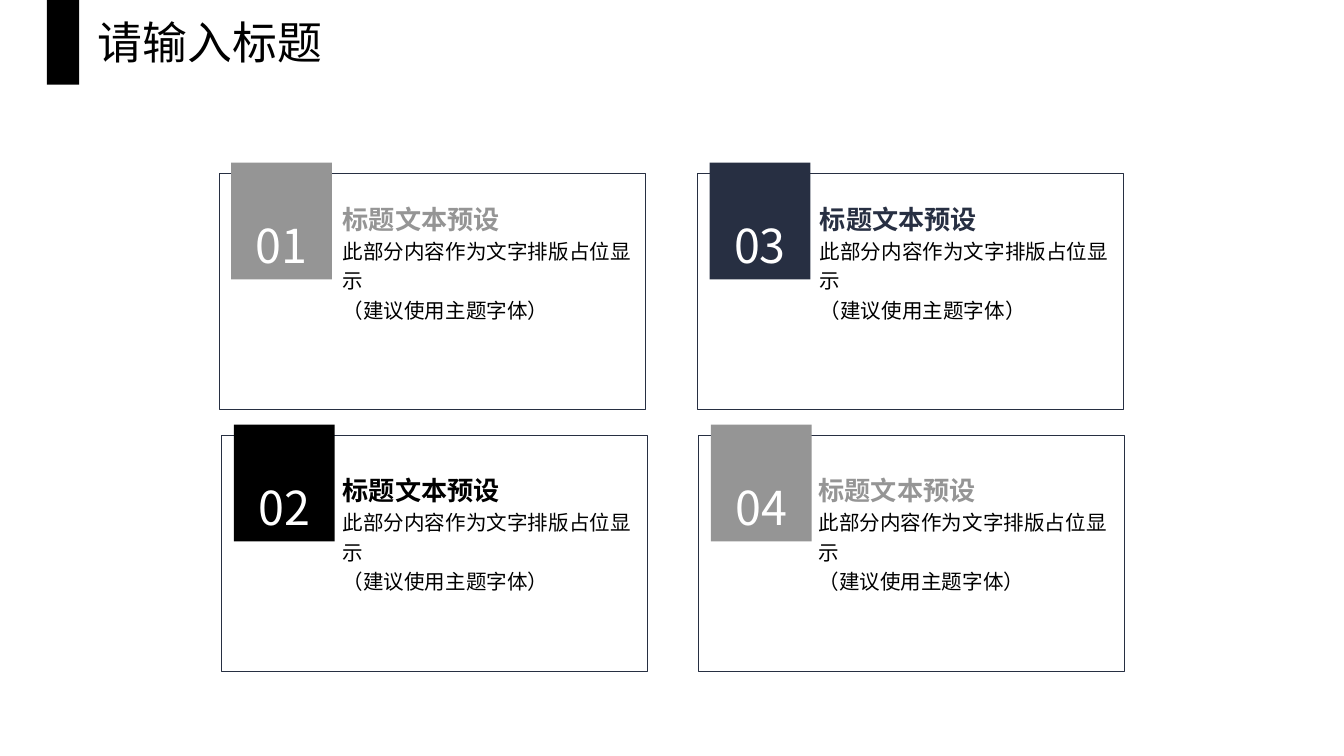
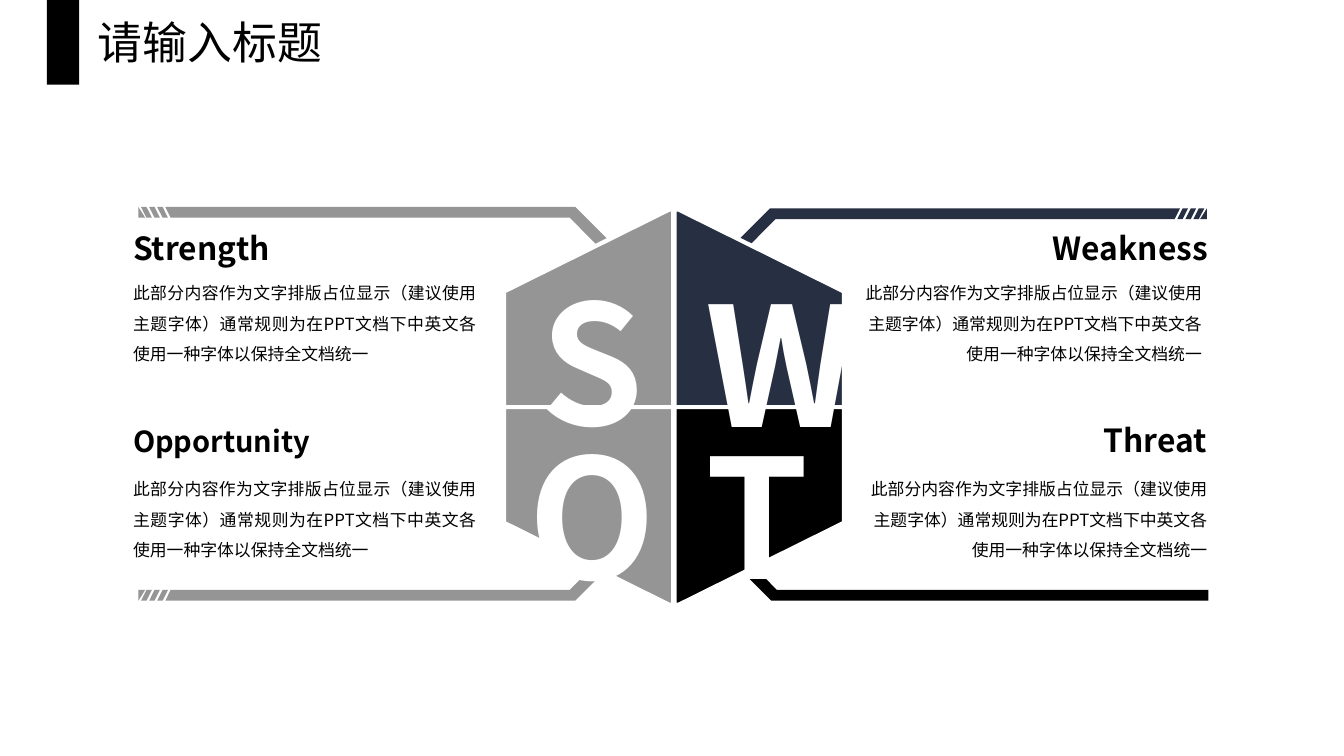
from collections import namedtuple
from copy import deepcopy

from lxml import etree
from pptx import Presentation
from pptx.dml.color import RGBColor
from pptx.enum.shapes import MSO_SHAPE
from pptx.enum.text import MSO_ANCHOR, MSO_AUTO_SIZE, PP_ALIGN
from pptx.oxml.ns import qn
from pptx.util import Pt

PX = 9144  # EMU per px, 100 px to the inch
SLIDE_WIDTH = 1000 * PX
SLIDE_HEIGHT = SLIDE_WIDTH * 9 // 16
FONT = "Noto Sans CJK SC"
GREY, NAVY, BLACK, WHITE = "959595", "272F42", "000000", "FFFFFF"
RECTANGLE = MSO_SHAPE.RECTANGLE
LEFT, CENTER, RIGHT, JUSTIFY = PP_ALIGN.LEFT, PP_ALIGN.CENTER, PP_ALIGN.RIGHT, PP_ALIGN.JUSTIFY
TOP, BOTTOM = MSO_ANCHOR.TOP, MSO_ANCHOR.BOTTOM
FIT_SHAPE = MSO_AUTO_SIZE.SHAPE_TO_FIT_TEXT

CARD_HEADING = "标题文本预设"
CARD_BODY = "此部分内容作为文字排版占位显示\n（建议使用主题字体）"
SWOT_BODY = ("此部分内容作为文字排版占位显示（建议使用主题字体）"
             "通常规则为在PPT文档下中英文各使用一种字体以保持全文档统一")

# number, colour, frame left and top, text left and top
CARDS = [
    ("01", GREY, 163, 129, 255, 151),
    ("03", NAVY, 519, 129, 610, 151),
    ("02", BLACK, 165, 324, 255, 353),
    ("04", GREY, 520, 324, 609, 353),
]

Quadrant = namedtuple("Quadrant", "letter word size color right lower arm "
                                  "heading_box body_box letter_box")
QUADRANTS = [
    Quadrant("S", "Strength", 17, GREY, False, False, (103, 154),
             (99, 170, 107, 25), (99, 203, 255, 94), (375, 188, 132, 129)),
    Quadrant("O", "Opportunity", 15.5, GREY, False, True, (103, 300),
             (99, 315, 147, 25), (99, 349, 255, 94), (375, 303, 132, 129)),
    Quadrant("W", "Weakness", 17, NAVY, True, False, (499, 155),
             (779, 170, 120, 25), (639, 203, 255, 94), (515, 190, 99, 129)),
    Quadrant("T", "Threat", 17, BLACK, True, True, (500, 300),
             (751, 313, 147, 25), (643, 349, 255, 94), (503, 303, 121, 129)),
]

# Outlines for the upper left quadrant; the others mirror them
ARM_SIZE = (399, 147)
ARM_BEND = [(325, 0), (399, 74), (399, 147), (391, 147), (391, 79), (321, 8)]
ARM_PLAIN = [[(0, 0), *ARM_BEND, (0, 8)]]
ARM_STRIPED = [[(20, 0), *ARM_BEND, (24, 8)],
               *[[(x, 0), (x + 4, 0), (x + 8, 8), (x + 4, 8)] for x in (14, 8, 2)],
               [(0, 0), (5, 8), (0, 8)]]
QUARTER_SIZE = (126, 147)
QUARTER = [[(126, 147), (0, 147), (0, 61), (123, 0), (126, 0)]]


def rgb(color):
    return RGBColor.from_string(color)


def emu(box):
    return [value * PX for value in box]


def paint(shape, fill=None, line=None, width=0.5):
    shape.shadow.inherit = False
    if fill:
        shape.fill.solid()
        shape.fill.fore_color.rgb = rgb(fill)
    else:
        shape.fill.background()
    if line:
        shape.line.color.rgb = rgb(line)
        shape.line.width = Pt(width)
    else:
        shape.line.fill.background()


def write(shape, text, size, color=BLACK, bold=False, align=LEFT, anchor=TOP,
          spacing=None, inset=True, grow=False):
    frame = shape.text_frame
    frame.word_wrap = True
    frame.vertical_anchor = anchor
    if not inset:
        frame.margin_left = frame.margin_top = frame.margin_right = frame.margin_bottom = 0
    if grow:
        frame.auto_size = FIT_SHAPE
    paragraph = frame.paragraphs[0]
    paragraph.text = text
    paragraph.alignment = align
    if spacing:
        paragraph.line_spacing = spacing
    for run in paragraph.runs:
        run.font.size = Pt(size)
        run.font.bold = bold
        run.font.color.rgb = rgb(color)
        run.font.name = FONT
        properties = run.font._element
        etree.SubElement(properties, qn("a:ea")).set("typeface", FONT)
    for line_break in paragraph._p.findall(qn("a:br")):
        line_break.append(deepcopy(properties))


def add_text(slide, box, text, size, **options):
    write(slide.shapes.add_textbox(*emu(box)), text, size, **options)


def add_rectangle(slide, box, **style):
    shape = slide.shapes.add_shape(RECTANGLE, *emu(box))
    paint(shape, **style)
    return shape


def add_outline(slide, origin, size, contours, right, lower, **style):
    """Draw closed contours in a box, mirrored for right or lower quadrants."""
    def place(point):
        x, y = point
        return (origin[0] + (size[0] - x if right else x),
                origin[1] + (size[1] - y if lower else y))

    builder = None
    for contour in contours:
        start, *others = map(place, contour)
        if builder is None:
            builder = slide.shapes.build_freeform(*start, scale=PX)
        else:
            builder.move_to(*start)
        builder.add_line_segments(others, close=True)
    paint(builder.convert_to_shape(), **style)


def add_title(slide):
    add_text(slide, (63, 6, 201, 50), "请输入标题", 24, align=JUSTIFY, grow=True)
    add_rectangle(slide, (35, 0, 24, 63), fill=BLACK)


def add_card(slide, number, color, left, top, text_left, text_top):
    add_rectangle(slide, (left, top, 317, 176), line=NAVY)
    badge = add_rectangle(slide, (left + 9, top - 8, 75, 87), fill=color)
    write(badge, number, 25, color=WHITE, align=CENTER, anchor=BOTTOM)
    add_text(slide, (text_left, text_top, 218, 22), CARD_HEADING, 14,
             color=color, bold=True, inset=False)
    add_text(slide, (text_left, text_top + 23, 218, 92), CARD_BODY, 11,
             spacing=1.2, inset=False)


def add_quadrant_text(slide, quadrant):
    contours = ARM_PLAIN if quadrant.letter == "T" else ARM_STRIPED
    add_outline(slide, quadrant.arm, ARM_SIZE, contours, quadrant.right,
                quadrant.lower, fill=quadrant.color)
    add_text(slide, quadrant.heading_box, quadrant.word, quadrant.size, bold=True,
             align=RIGHT if quadrant.right else LEFT, inset=False)
    add_text(slide, quadrant.body_box, SWOT_BODY, 9, spacing=1.5,
             align=RIGHT if quadrant.right else JUSTIFY, inset=False)


def add_hexagon(slide):
    for quadrant in QUADRANTS:
        origin = (502 if quadrant.right else 375, 303 if quadrant.lower else 156)
        add_outline(slide, origin, QUARTER_SIZE, QUARTER, quadrant.right,
                    quadrant.lower, fill=quadrant.color, line=WHITE, width=2.25)
    for quadrant in QUADRANTS:
        add_text(slide, quadrant.letter_box, quadrant.letter, 88.8, color=WHITE,
                 bold=True, align=CENTER)


def build_cards_slide(slide):
    for card in CARDS:
        add_card(slide, *card)
    add_title(slide)


def build_swot_slide(slide):
    for quadrant in QUADRANTS:
        add_quadrant_text(slide, quadrant)
    add_hexagon(slide)
    add_title(slide)


def main():
    presentation = Presentation()
    presentation.slide_width = SLIDE_WIDTH
    presentation.slide_height = SLIDE_HEIGHT
    blank = presentation.slide_layouts[6]
    for build in (build_cards_slide, build_swot_slide):
        build(presentation.slides.add_slide(blank))
    presentation.save("out.pptx")


if __name__ == "__main__":
    main()
